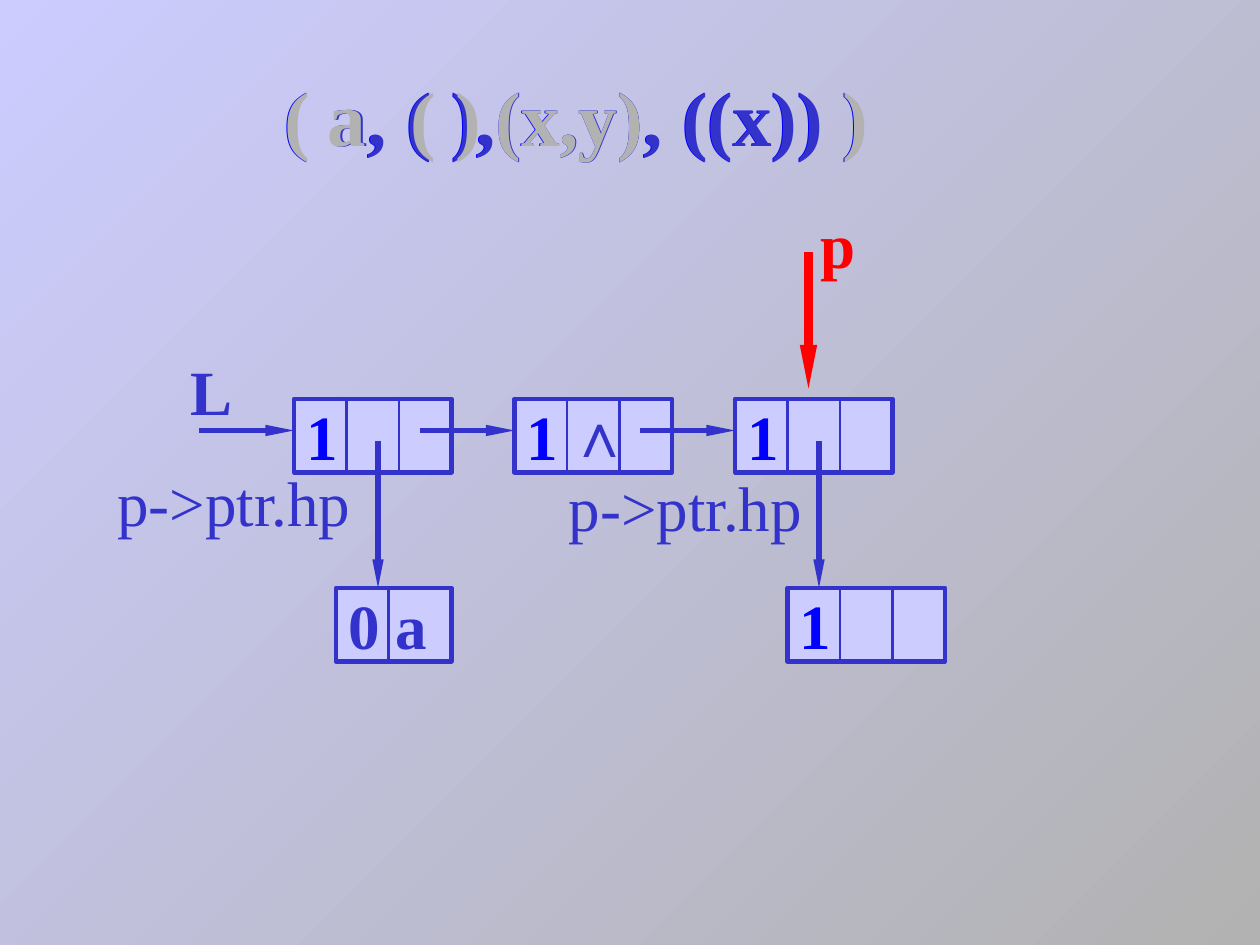
from lxml.etree import SubElement
from pptx import Presentation
from pptx.dml.color import RGBColor
from pptx.enum.shapes import MSO_CONNECTOR as LINE, MSO_SHAPE as SHAPE
from pptx.enum.text import MSO_ANCHOR as ANCHOR, PP_ALIGN as ALIGN
from pptx.oxml.ns import qn
from pptx.util import Cm, Pt

BLUE, INK, GREY, PALE, RED = "0000FF", "3333CC", "B2B2B2", "CCCCFF", "FF0000"
SERIF = "Times New Roman"

# Places are in grid steps, twelve to the inch.
STEP = 2.54 / 12
CELL, HIGH = 5, 7

TITLE = "( a, ( ),(x,y), ((x)) )"
# left, width, runs
OVER = [
    (25.9, 62, [("( ", GREY), ("a, ( ),(x,y), ((x))", INK), (" )", GREY)]),
    (30, 8, [("a", GREY)]),
    (37.9, 11, [("( )", GREY)]),
    (46, 19, [("(x,y)", GREY)]),
]
# left, top, width, text, colour, dividers
NODES = [
    (28, 38, 15, "1", BLUE, 2),
    (49, 38, 15, "1", BLUE, 2),
    (70, 38, 15, "1", BLUE, 2),
    (32, 56, 11, "0 a", INK, 1),
    (75, 56, 15, "1", BLUE, 2),
]
# start, end, colour, weight
ARROWS = [
    ((19, 41), (28, 41), INK, 3.25),
    ((40, 41), (49, 41), INK, 3.25),
    ((61, 41), (70, 41), INK, 3.25),
    ((36, 42), (36, 56), INK, 3.25),
    ((78, 42), (78, 56), INK, 3.25),
    ((77, 24), (77, 37), RED, 5),
]
# left, top, width, text, font, colour, bold
LABELS = [
    (17, 33, 6, "L", SERIF, INK, True),
    (53, 37, 7, "∧", "Arial", INK, True),
    (77, 19, 6, "p", SERIF, RED, True),
    (10, 43.6, 25, "p->ptr.hp", SERIF, INK, False),
    (53, 44, 25, "p->ptr.hp", SERIF, INK, False),
]


def at(*steps):
    """Turn grid steps into lengths."""
    return [Cm(n * STEP) for n in steps]


def rgb(code):
    return RGBColor.from_string(code)


def write(shape, runs, size, face=SERIF, bold=True, anchor=ANCHOR.TOP):
    """Fill a shape with one left-set line of coloured runs."""
    frame = shape.text_frame
    frame.word_wrap, frame.vertical_anchor = True, anchor
    para = frame.paragraphs[0]
    para.alignment = ALIGN.LEFT
    for text, code in runs:
        run = para.add_run()
        run.text = text
        font = run.font
        font.name, font.size, font.bold = face, Pt(size), bold
        font.color.rgb = rgb(code)


def draw(slide, start, end, code, weight, head=False):
    line = slide.shapes.add_connector(LINE.STRAIGHT, *at(*start, *end))
    line.line.color.rgb = rgb(code)
    line.line.width = Pt(weight)
    if head:
        edge = line.line._get_or_add_ln()
        SubElement(edge, qn("a:tailEnd"), type="triangle", w="sm", len="lg")
    SubElement(line._element.spPr, qn("a:effectLst"))


def node(slide, x, y, wide, text, code, splits):
    box = slide.shapes.add_shape(SHAPE.RECTANGLE, *at(x, y, wide, HIGH))
    box.shadow.inherit = False
    box.fill.solid()
    box.fill.fore_color.rgb = rgb(PALE)
    box.line.color.rgb = rgb(INK)
    box.line.width = Pt(2.5)
    write(box, [(text, code)], 36, anchor=ANCHOR.MIDDLE)
    for i in range(1, splits + 1):
        split = x + i * CELL
        draw(slide, (split, y), (split, y + HIGH), INK, 1.5)


def main():
    deck = Presentation()
    deck.slide_width, deck.slide_height = Cm(25.4), Cm(19.05)
    slide = deck.slides.add_slide(deck.slide_layouts[5])

    back = slide.background.fill
    back.gradient()
    back.gradient_angle = 135
    for stop, code in zip(back.gradient_stops, (GREY, PALE)):
        stop.color.rgb = rgb(code)

    title = slide.shapes.title
    title.left, title.top, title.width, title.height = at(25.8, 6, 62, 10.1)
    write(title, [(TITLE, BLUE)], 44)
    for x, wide, runs in OVER:
        box = slide.shapes.add_textbox(*at(x, 6, wide, 10.1))
        write(box, runs, 44)

    for item in NODES:
        node(slide, *item)
    for item in ARROWS:
        draw(slide, *item, head=True)
    for x, y, wide, text, face, code, bold in LABELS:
        box = slide.shapes.add_textbox(*at(x, y, wide, 8.4))
        write(box, [(text, code)], 36, face, bold)

    deck.save("out.pptx")


if __name__ == "__main__":
    main()
